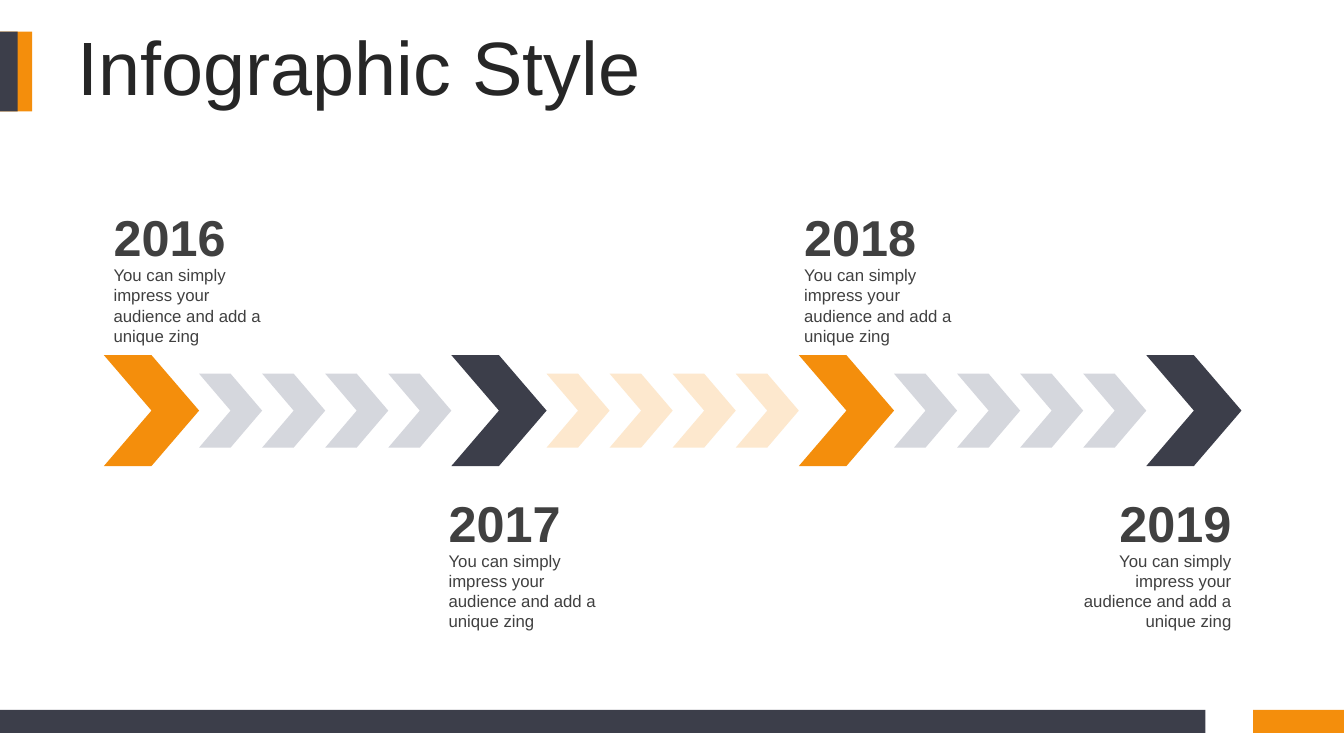
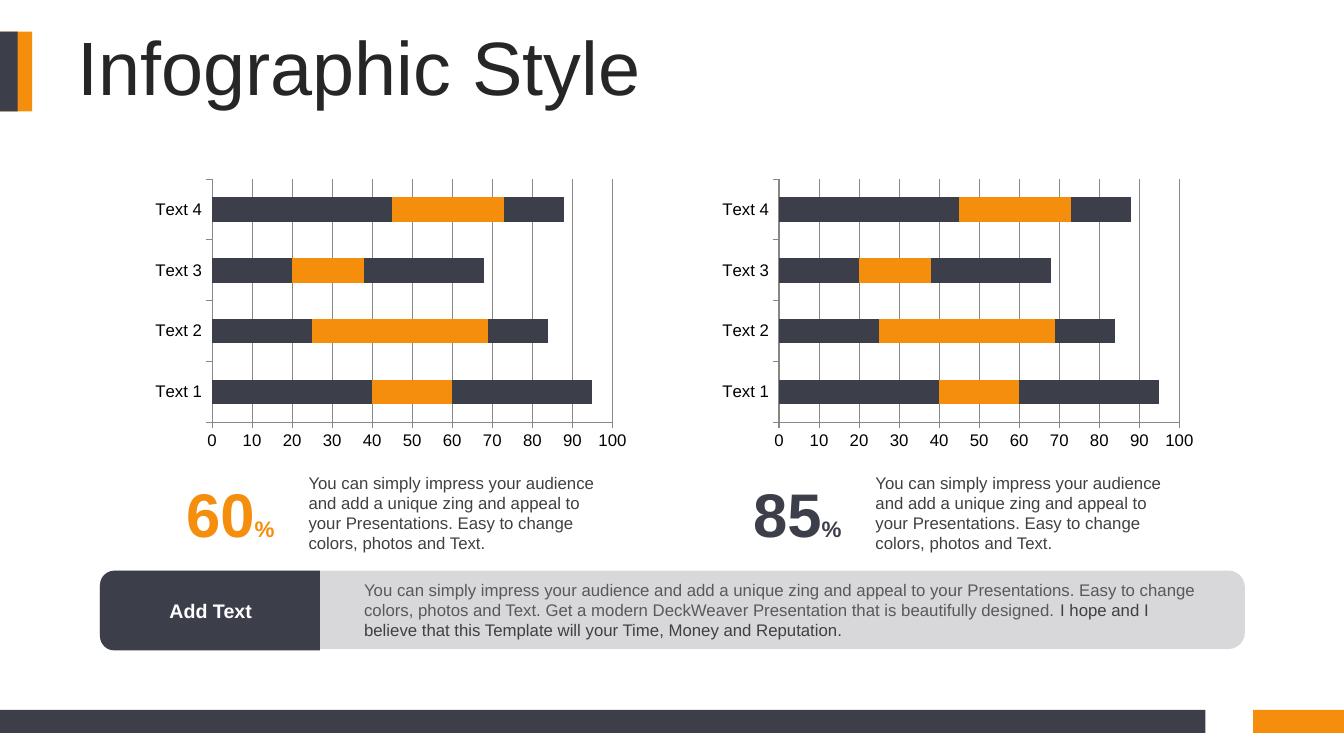
from dataclasses import dataclass

from lxml.etree import SubElement
from pptx import Presentation
from pptx.chart.data import CategoryChartData
from pptx.dml.color import RGBColor
from pptx.enum.chart import XL_CHART_TYPE, XL_TICK_MARK
from pptx.enum.shapes import MSO_SHAPE
from pptx.enum.text import MSO_ANCHOR, MSO_AUTO_SIZE, PP_ALIGN
from pptx.oxml.ns import qn
from pptx.util import Pt


@dataclass(frozen=True)
class Theme:
    font: str = "Arial"
    orange: RGBColor = RGBColor(0xF4, 0x8E, 0x0C)
    slate: RGBColor = RGBColor(0x3C, 0x3E, 0x4A)
    pale_orange: RGBColor = RGBColor(0xFD, 0xE8, 0xCE)
    pale_slate: RGBColor = RGBColor(0xD5, 0xD7, 0xDD)
    heading: RGBColor = RGBColor(0x26, 0x26, 0x26)
    text: RGBColor = RGBColor(0x40, 0x40, 0x40)
    soft_text: RGBColor = RGBColor(0x59, 0x59, 0x59)
    grid: RGBColor = RGBColor(0x87, 0x87, 0x87)
    white: RGBColor = RGBColor(0xFF, 0xFF, 0xFF)
    black: RGBColor = RGBColor(0, 0, 0)
    title_size: int = 54
    figure_size: int = 44
    year_size: int = 36
    percent_size: int = 16
    label_size: int = 14
    body_size: int = 12


THEME = Theme()


def apply(target, values):
    for name, value in values.items():
        setattr(target, name, value)


class Deck:
    """Holds the theme, the presentation and the slide being filled."""

    def __init__(self, theme):
        self.theme = theme
        self.presentation = Presentation()
        apply(self.presentation, {"slide_width": Pt(960), "slide_height": Pt(540)})
        self.layout = self.presentation.slide_layouts[5]
        self.slide = None

    def start_slide(self, title):
        self.slide = self.presentation.slides.add_slide(self.layout)
        if len(self.presentation.slides) == 1:
            self.share_bands()
        heading = self.slide.shapes.title
        apply(heading, {"left": Pt(48.2), "top": Pt(22.5), "width": Pt(888.5),
                        "height": Pt(57)})
        apply(heading.text_frame, {"auto_size": MSO_AUTO_SIZE.NONE, "word_wrap": True,
                                   "vertical_anchor": MSO_ANCHOR.MIDDLE})
        paragraph = heading.text_frame.paragraphs[0]
        apply(paragraph, {"alignment": PP_ALIGN.LEFT, "line_spacing": 0.9})
        self.run(paragraph, title, self.theme.title_size, self.theme.heading)

    def share_bands(self):
        """Put the title marker and footer bands on the common layout."""
        bands = [
            ((0, 22.5, 23, 57), self.theme.orange),
            ((0, 22.5, 12.7, 57), self.theme.slate),
            ((895, 507, 65, 16.6), self.theme.orange),
            ((0, 507, 861, 16.6), self.theme.slate),
        ]
        for order, (place, color) in enumerate(bands):
            band = self.shape(MSO_SHAPE.RECTANGLE, place, color).element
            band.nvSpPr.cNvPr.set("id", str(20 + order))
            self.layout.shapes.element.insert(2 + order, band)

    def style_font(self, font, size, color, bold=False):
        apply(font, {"name": self.theme.font, "size": Pt(size), "bold": bold})
        font.color.rgb = color

    def run(self, paragraph, text, size, color, bold=False):
        run = paragraph.add_run()
        run.text = text
        self.style_font(run.font, size, color, bold)

    def shape(self, preset, place, color, adjustments=(), rotation=0, opacity=None):
        shape = self.slide.shapes.add_shape(preset, *map(Pt, place))
        shape.shadow.inherit = False
        shape.rotation = rotation
        shape.fill.solid()
        shape.fill.fore_color.rgb = color
        shape.line.fill.background()
        for index, value in enumerate(adjustments):
            shape.adjustments[index] = value
        if opacity is not None:
            fill_color = shape.element.spPr.find(f".//{qn('a:srgbClr')}")
            SubElement(fill_color, qn("a:alpha"), val=str(opacity * 1000))
        return shape

    def text(self, place, *runs, align=PP_ALIGN.LEFT, anchor=MSO_ANCHOR.TOP, fill=None):
        """Each run is a tuple: text, size, colour and, optionally, bold."""
        if fill is None:
            box = self.slide.shapes.add_textbox(*map(Pt, place))
        else:
            box = self.shape(MSO_SHAPE.RECTANGLE, place, fill)
        frame = box.text_frame
        apply(frame, {"word_wrap": True, "vertical_anchor": anchor,
                      "auto_size": MSO_AUTO_SIZE.SHAPE_TO_FIT_TEXT})
        frame.paragraphs[0].alignment = align
        for run in runs:
            self.run(frame.paragraphs[0], *run)

    def stacked_bars(self, place, categories, series):
        data = CategoryChartData()
        data.categories = categories
        for name, values, _ in series:
            data.add_series(name, values)
        chart = self.slide.shapes.add_chart(
            XL_CHART_TYPE.BAR_STACKED, *map(Pt, place), data).chart
        apply(chart, {"has_legend": False, "has_title": False})
        self.style_font(chart.font, self.theme.body_size, self.theme.black)
        plot = chart.plots[0]
        apply(plot, {"gap_width": 150, "overlap": 100, "vary_by_categories": False})
        for bars, (_, _, color) in zip(plot.series, series):
            bars.format.fill.solid()
            bars.format.fill.fore_color.rgb = color
        apply(chart.value_axis, {"minimum_scale": 0, "maximum_scale": 100,
                                 "major_unit": 10, "has_major_gridlines": True})
        for axis in (chart.category_axis, chart.value_axis):
            axis.major_tick_mark = XL_TICK_MARK.OUTSIDE
            self.style_font(axis.tick_labels.font, self.theme.body_size, self.theme.black)
        for lines in (chart.category_axis, chart.value_axis, chart.value_axis.major_gridlines):
            lines.format.line.color.rgb = self.theme.grid
            lines.format.line.width = Pt(0.75)


def timeline_slide(deck):
    theme = deck.theme
    deck.start_slide("Infographic Style")

    # Chevron band: a large chevron per year, small ones filling each gap
    start, middle, pitch = 74.2, 293.3, 248.2
    large_width, large_height, small_height, small_count = 68, 79.2, 52.8, 4
    small_width = (pitch - large_width) / small_count
    year_colors = [theme.orange, theme.slate, theme.orange, theme.slate]
    gap_colors = [theme.pale_slate, theme.pale_orange, theme.pale_slate]
    for index, color in enumerate(year_colors):
        left = start + index * pitch
        deck.shape(MSO_SHAPE.CHEVRON,
                   (left, middle - large_height / 2, large_width, large_height), color)
        for step in range(small_count if index < len(gap_colors) else 0):
            small_left = left + large_width + step * small_width
            deck.shape(MSO_SHAPE.CHEVRON,
                       (small_left, middle - small_height / 2, small_width, small_height),
                       gap_colors[index])

    # Years with captions, alternately above and below the band
    above, below, width = 143.5, 347.5, 134
    caption = "You can simply impress your audience and add a unique zing"
    milestones = [
        ("2016", 74, above, PP_ALIGN.LEFT),
        ("2017", 313.3, below, PP_ALIGN.LEFT),
        ("2018", 567.3, above, PP_ALIGN.LEFT),
        ("2019", 752.7, below, PP_ALIGN.RIGHT),
    ]
    for year, left, top, align in milestones:
        deck.text((left, top, width, 51), (year, theme.year_size, theme.text, True),
                  align=align, anchor=MSO_ANCHOR.MIDDLE)
        deck.text((left, top + 42.2, width, 66), (caption, theme.body_size, theme.text),
                  align=align)


def charts_slide(deck):
    theme = deck.theme
    deck.start_slide("Infographic Style")

    # Two panels: chart, percentage and description
    categories = ["Text 1", "Text 2", "Text 3", "Text 4"]
    series = [
        ("Series 1", (40, 25, 20, 45), theme.slate),
        ("Series 2", (20, 44, 18, 28), theme.orange),
        ("Series 3", (35, 15, 30, 15), theme.slate),
    ]
    pitch_line = ("You can simply impress your audience and add a unique zing and appeal "
                  "to your Presentations. Easy to change colors, photos and Text.")
    panels = [
        (104, "60", theme.orange, theme.white),
        (509, "85", theme.slate, None),
    ]
    for left, percentage, color, backing in panels:
        deck.stacked_bars((left, 124, 350.5, 201.6), categories, series)
        deck.text((left + 11.5, 336.5, 98, 60),
                  (percentage, theme.figure_size, color, True),
                  ("%", theme.percent_size, color, True),
                  align=PP_ALIGN.CENTER, fill=backing)
        deck.text((left + 109.3, 334, 230, 66), (pitch_line, theme.body_size, theme.text))

    # Closing banner with a tab rounded on its left side
    deck.shape(MSO_SHAPE.ROUNDED_RECTANGLE, (71.2, 407.6, 818, 56), theme.slate,
               adjustments=(0.21,), opacity=20)
    deck.shape(MSO_SHAPE.ROUND_2_SAME_RECTANGLE, (121.4, 357.6, 57, 157), theme.slate,
               adjustments=(0.18, 0), rotation=270)
    deck.text((97, 424, 107, 24), ("Add Text", theme.label_size, theme.white, True),
              align=PP_ALIGN.CENTER)
    deck.text((253, 410.4, 611, 51),
              (pitch_line + " Get a modern DeckWeaver Presentation that is beautifully "
               "designed. ", theme.body_size, theme.soft_text),
              ("I hope and I believe that this Template will your Time, Money and "
               "Reputation.", theme.body_size, theme.text))


def main():
    deck = Deck(THEME)
    timeline_slide(deck)
    charts_slide(deck)
    deck.presentation.save("out.pptx")


if __name__ == "__main__":
    main()
